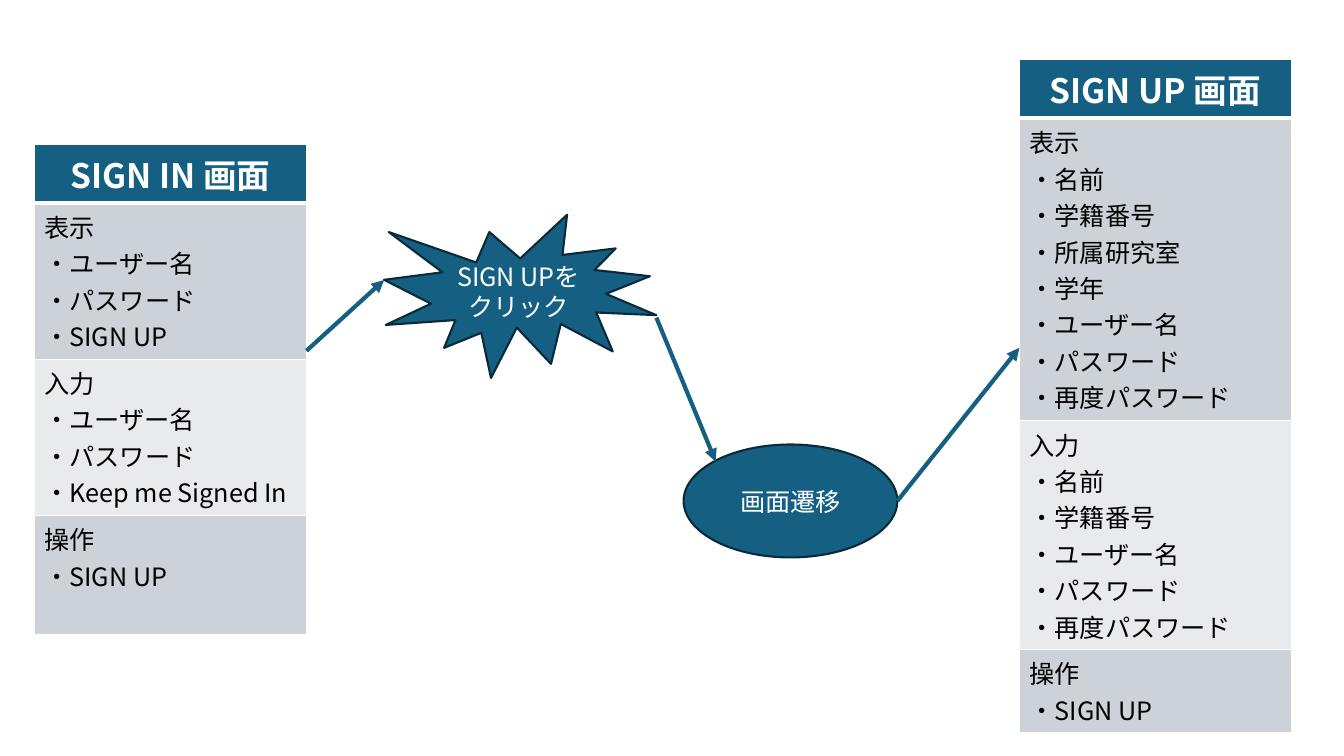
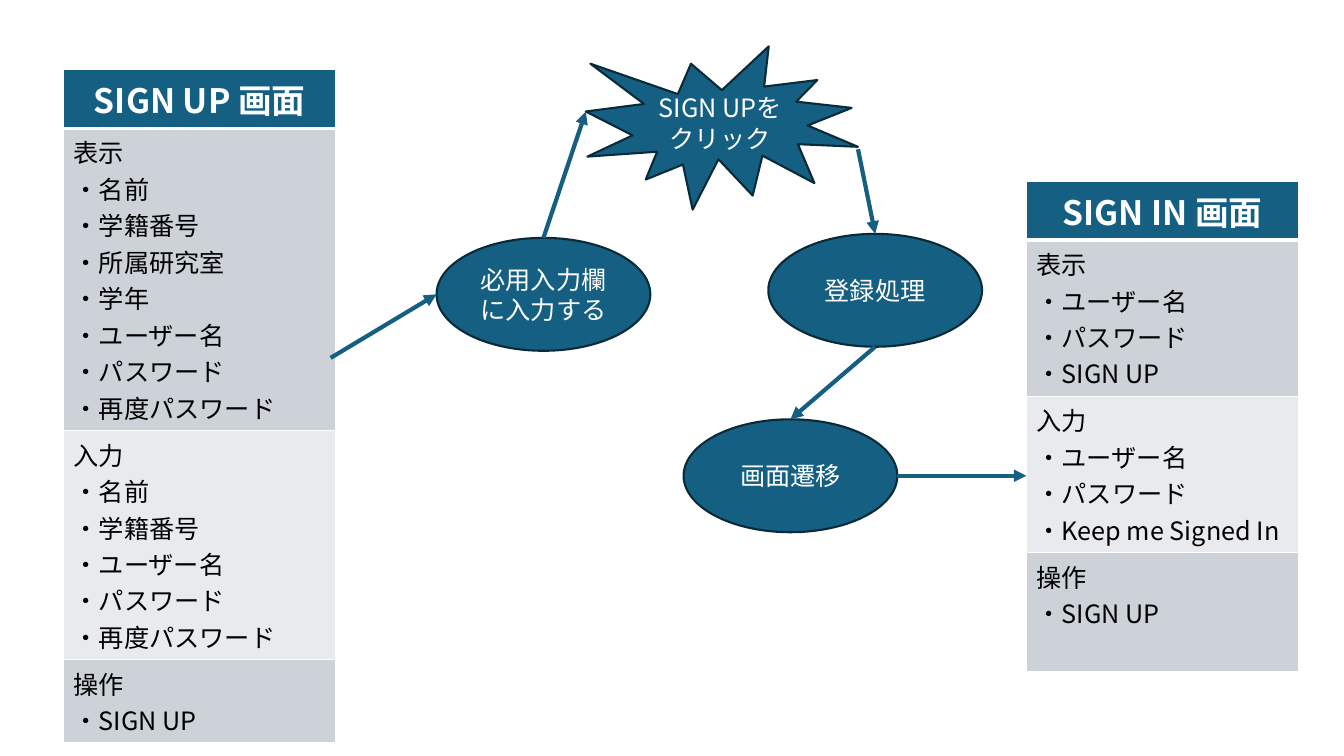
"""Build two screen-transition diagrams between the sign-in and sign-up screens."""
from dataclasses import dataclass

from lxml import etree
from pptx import Presentation
from pptx import util as u
from pptx.dml.color import RGBColor
from pptx.enum import shapes, text
from pptx.oxml import ns

TEAL = RGBColor(0x15, 0x60, 0x82)
OUTLINE = RGBColor(0x09, 0x2A, 0x39)
BAND_DARK = RGBColor(0xCC, 0xD2, 0xD8)
BAND_LIGHT = RGBColor(0xE8, 0xEA, 0xED)
WHITE = RGBColor(0xFF, 0xFF, 0xFF)
BLACK = RGBColor(0x00, 0x00, 0x00)
FONT = "Noto Sans CJK JP"

PANEL_WIDTH = 2.7
HEADER_HEIGHT = 0.58
BURST_SIZE = (2.7, 1.62)
STEP_SIZE = (2.12, 1.12)
TOP, LEFT, BOTTOM, RIGHT = (0.5, 0), (0, 0.5), (0.5, 1), (1, 0.5)
TOP_LEFT = (0.15, 0.15)
BURST_LEFT, BURST_RIGHT = (0, 0.4), (1, 0.63)

SIGN_IN = ("SIGN IN 画面", [
    (1.55, ["表示", "・ユーザー名", "・パスワード", "・SIGN UP"]),
    (1.55, ["入力", "・ユーザー名", "・パスワード", "・Keep me Signed In"]),
    (1.18, ["操作", "・SIGN UP"]),
])
SIGN_UP = ("SIGN UP 画面", [
    (3.0, ["表示", "・名前", "・学籍番号", "・所属研究室", "・学年",
           "・ユーザー名", "・パスワード", "・再度パスワード"]),
    (2.27, ["入力", "・名前", "・学籍番号", "・ユーザー名", "・パスワード",
            "・再度パスワード"]),
    (0.82, ["操作", "・SIGN UP"]),
])


@dataclass
class Box:
    """A rectangle in inches."""
    left: float
    top: float
    width: float
    height: float

    def at(self, anchor):
        """Return the point at the given fractions of width and height."""
        return (self.left + anchor[0] * self.width,
                self.top + anchor[1] * self.height)

    def lengths(self):
        """Return left, top, width and height as lengths."""
        return [u.Inches(value) for value in
                (self.left, self.top, self.width, self.height)]


def format_text(frame, size, color, bold=False, align=text.PP_ALIGN.LEFT):
    """Apply one look to every run of a text frame."""
    for paragraph in frame.paragraphs:
        paragraph.alignment = align
        for run in paragraph.runs:
            font = run.font
            font.size, font.bold, font.name = u.Pt(size), bold, FONT
            font.color.rgb = color
            properties = run._r.get_or_add_rPr()
            etree.SubElement(properties, ns.qn("a:ea"), typeface=FONT)


def set_borders(cell, bottom=1):
    """Draw white borders around a cell, with the bottom width in points."""
    properties = cell._tc.get_or_add_tcPr()
    for side, width in (("L", 1), ("R", 1), ("T", 1), ("B", bottom)):
        line = etree.SubElement(properties, ns.qn(f"a:ln{side}"), w=str(u.Pt(width)))
        fill = etree.SubElement(line, ns.qn("a:solidFill"))
        etree.SubElement(fill, ns.qn("a:srgbClr"), val=str(WHITE))


def fill_cell(cell, color, bottom=1):
    """Give a cell its borders and fill."""
    set_borders(cell, bottom)
    cell.fill.solid()
    cell.fill.fore_color.rgb = color


def add_panel(slide, left, top, screen):
    """Add the table that describes one screen."""
    title, sections = screen
    heights = [HEADER_HEIGHT] + [height for height, _ in sections]
    box = Box(left, top, PANEL_WIDTH, sum(heights))
    table = slide.shapes.add_table(len(heights), 1, *box.lengths()).table
    for row, height in zip(table.rows, heights):
        row.height = u.Inches(height)
    header = table.cell(0, 0)
    header.text_frame.text = title
    fill_cell(header, TEAL, bottom=3)
    format_text(header.text_frame, 24, WHITE, True, text.PP_ALIGN.CENTER)
    for index, (_, lines) in enumerate(sections, 1):
        cell = table.cell(index, 0)
        cell.text_frame.text = "\n".join(lines)
        fill_cell(cell, BAND_DARK if index % 2 else BAND_LIGHT)
        format_text(cell.text_frame, 18, BLACK)


def add_node(slide, preset, box, label):
    """Add a labelled shape and return its box."""
    shape = slide.shapes.add_shape(preset, *box.lengths())
    shape.shadow.inherit = False
    shape.fill.solid()
    shape.fill.fore_color.rgb = TEAL
    shape.line.color.rgb = OUTLINE
    shape.line.width = u.Pt(1.5)
    frame = shape.text_frame
    frame.word_wrap = True
    frame.vertical_anchor = text.MSO_ANCHOR.MIDDLE
    frame.text = label
    format_text(frame, 18, WHITE, align=text.PP_ALIGN.CENTER)
    return box


def add_click(slide, left, top):
    """Add the burst that marks a click on sign-up."""
    return add_node(slide, shapes.MSO_SHAPE.EXPLOSION1,
                    Box(left, top, *BURST_SIZE), "SIGN UPをクリック")


def add_step(slide, left, top, label):
    """Add an oval process step."""
    return add_node(slide, shapes.MSO_SHAPE.OVAL,
                    Box(left, top, *STEP_SIZE), label)


def add_arrow(slide, start, end):
    """Add a straight arrow between two points."""
    connector = slide.shapes.add_connector(
        shapes.MSO_CONNECTOR.STRAIGHT,
        *[u.Inches(value) for value in (*start, *end)])
    connector.line.color.rgb = TEAL
    connector.line.width = u.Pt(3)
    line = connector.line._get_or_add_ln()
    etree.SubElement(line, ns.qn("a:tailEnd"), type="triangle")
    etree.SubElement(connector._element.spPr, ns.qn("a:effectLst"))


def build_open_sign_up(slide):
    """Show the way from the sign-in screen to the sign-up screen."""
    add_panel(slide, 0.34, 1.43, SIGN_IN)
    add_panel(slide, 10.11, 0.59, SIGN_UP)
    click = add_click(slide, 3.81, 2.13)
    transition = add_step(slide, 6.78, 4.41, "画面遷移")
    add_arrow(slide, (3.04, 3.48), click.at(BURST_LEFT))
    add_arrow(slide, click.at(BURST_RIGHT), transition.at(TOP_LEFT))
    add_arrow(slide, transition.at(RIGHT), (10.11, 3.45))


def build_register(slide):
    """Show the way from the sign-up screen back to the sign-in screen."""
    add_panel(slide, 10.18, 1.8, SIGN_IN)
    add_panel(slide, 0.63, 0.69, SIGN_UP)
    click = add_click(slide, 5.81, 0.46)
    register = add_step(slide, 7.62, 2.32, "登録処理")
    entry = add_step(slide, 4.33, 2.36, "必用入力欄に入力する")
    transition = add_step(slide, 6.78, 4.16, "画面遷移")
    add_arrow(slide, (3.28, 3.55), entry.at(LEFT))
    add_arrow(slide, entry.at(TOP), click.at(BURST_LEFT))
    add_arrow(slide, click.at(BURST_RIGHT), register.at(TOP))
    add_arrow(slide, register.at(BOTTOM), transition.at(TOP))
    add_arrow(slide, transition.at(RIGHT), (10.18, 4.72))


def main():
    """Build and save the presentation."""
    presentation = Presentation()
    presentation.slide_width = u.Inches(13.33)
    presentation.slide_height = u.Inches(7.5)
    for build in (build_open_sign_up, build_register):
        build(presentation.slides.add_slide(presentation.slide_layouts[6]))
    presentation.save("out.pptx")


if __name__ == "__main__":
    main()
